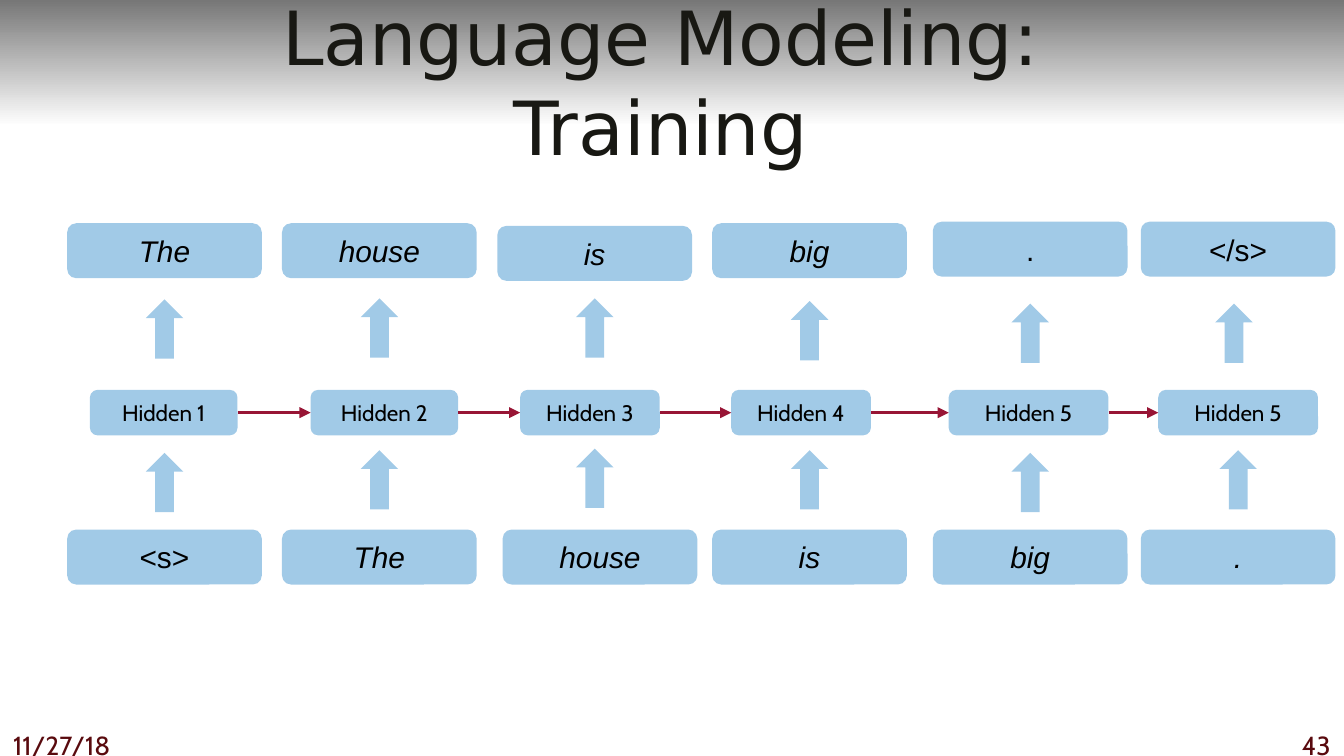
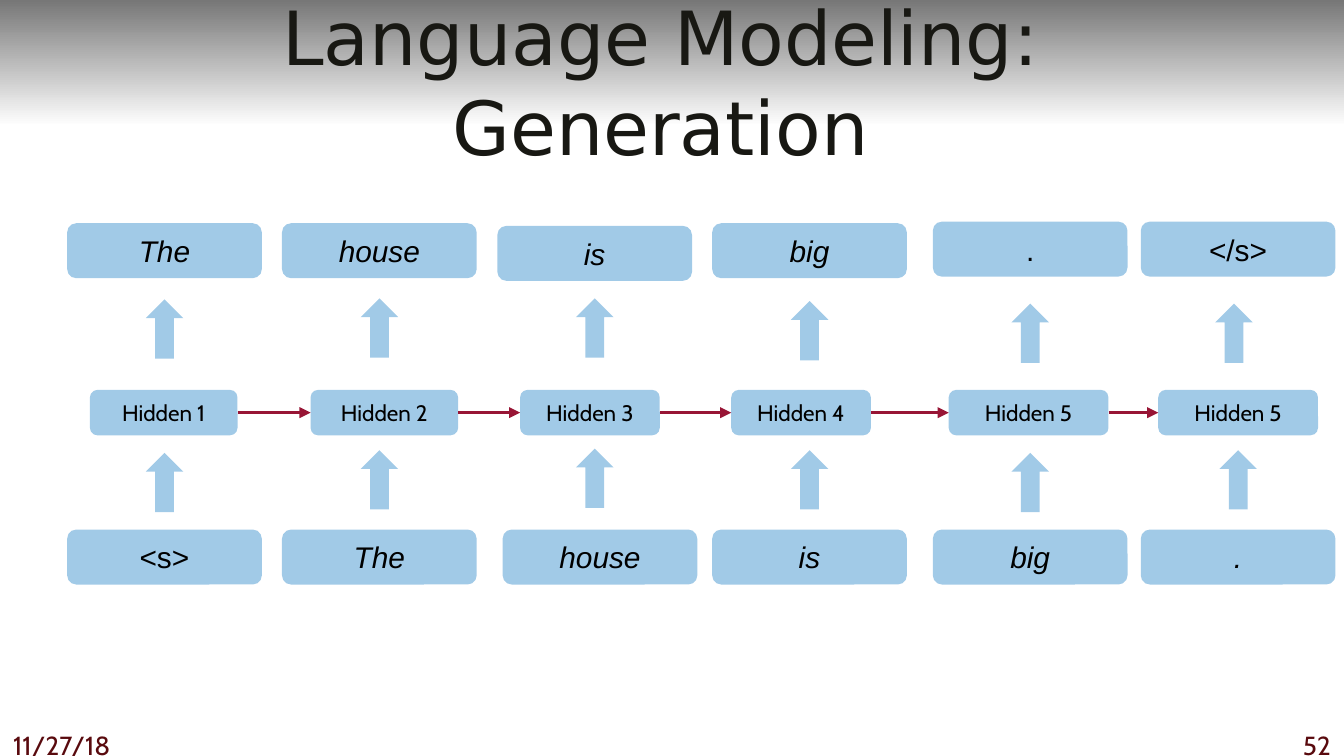
"""Build two slides on training and generation with a recurrent language model."""
from dataclasses import dataclass

from lxml.etree import SubElement
from pptx import Presentation
from pptx.dml.color import RGBColor
from pptx.enum.shapes import MSO_CONNECTOR as Link, MSO_SHAPE as Preset
from pptx.enum.text import MSO_ANCHOR as Anchor, PP_ALIGN as Align
from pptx.oxml.ns import qn
from pptx.shapes.autoshape import Shape
from pptx.slide import Slide
from pptx.util import Cm, Pt

PAGE_WIDTH, PAGE_HEIGHT = 25.4, 14.29
BAND_TOP, WHITE, TITLE_INK = "777777", "FFFFFF", "181813"
FOOTER_INK, BLACK, CELL_BLUE, LINK_RED = "590A0E", "000000", "0070C0", "981535"
CELL_OPACITY = 37
TOKEN_WIDTH, TOKEN_HEIGHT, INPUT_TOP = 3.68, 1.04, 10.01
HIDDEN_TOP, HIDDEN_HEIGHT = 7.37, 0.86
ARROW_WIDTH, ARROW_HEIGHT = 0.71, 1.12


@dataclass(frozen=True)
class Style:
    """Look of a text."""

    font: str
    size: float
    color: str
    align: Align = Align.CENTER
    anchor: Anchor = Anchor.MIDDLE
    italic: bool = False


@dataclass(frozen=True)
class Area:
    """Rectangle on the page in centimetres."""

    left: float
    top: float
    width: float
    height: float

    def lengths(self) -> tuple[Cm, Cm, Cm, Cm]:
        """Return the sides as lengths."""
        return Cm(self.left), Cm(self.top), Cm(self.width), Cm(self.height)


@dataclass(frozen=True)
class Token:
    """Word shown in an input or output box."""

    text: str
    italic: bool = True


@dataclass(frozen=True)
class Step:
    """One time step of the network, drawn as a column."""

    left: float
    output: Token
    output_top: float
    upper_arrow_top: float
    hidden: str
    hidden_left: float
    hidden_width: float
    lower_arrow_top: float
    source: Token
    source_shift: float = 0
    upper_arrow_shift: float = 0


@dataclass(frozen=True)
class Page:
    """What differs between the slides."""

    topic: str
    number: str


TITLE = Style("DejaVu Sans", 40, TITLE_INK)
DATE = Style("Cabin", 14, FOOTER_INK, Align.LEFT, Anchor.TOP)
NUMBER = Style("Cabin", 14, FOOTER_INK, Align.RIGHT, Anchor.TOP)
HIDDEN = Style("Cabin", 12, BLACK)

STEPS = (
    Step(1.27, Token("The"), 4.22, 5.66, "Hidden 1", 1.7, 2.79, 8.56, Token("<s>", False)),
    Step(5.33, Token("house"), 4.22, 5.64, "Hidden 2", 5.87, 2.79, 8.51, Token("The")),
    Step(9.4, Token("is"), 4.27, 5.64, "Hidden 3", 9.83, 2.64, 8.48, Token("house"),
         source_shift=0.1),
    Step(13.46, Token("big"), 4.22, 5.69, "Hidden 4", 13.82, 2.64, 8.51, Token("is")),
    Step(17.63, Token(".", False), 4.19, 5.74, "Hidden 5", 17.93, 3.02, 8.56, Token("big")),
    Step(21.56, Token("</s>", False), 4.19, 5.74, "Hidden 5", 21.89, 3.02, 8.51, Token("."),
         upper_arrow_shift=-0.08),
)
PAGES = (Page("Training", "43"), Page("Generation", "52"))


def rgb(color: str) -> RGBColor:
    """Turn a hex string into a colour."""
    return RGBColor.from_string(color)


def write(box: Shape, style: Style, *lines: str) -> None:
    """Fill a box with one paragraph of broken lines."""
    frame = box.text_frame
    frame.word_wrap = True
    frame.vertical_anchor = style.anchor
    para = frame.paragraphs[0]
    para.alignment = style.align
    for index, line in enumerate(lines):
        if index:
            para.add_line_break()
        span = para.add_run()
        span.text = line
        span.font.name = style.font
        span.font.size = Pt(style.size)
        span.font.italic = style.italic
        span.font.color.rgb = rgb(style.color)


def add_label(page: Slide, area: Area, style: Style, *lines: str) -> None:
    """Add a plain text box."""
    write(page.shapes.add_textbox(*area.lengths()), style, *lines)


def add_band(page: Slide) -> None:
    """Add the fading band behind the title."""
    band = page.shapes.add_shape(Preset.RECTANGLE, *Area(0, 0, PAGE_WIDTH, 2.39).lengths())
    band.shadow.inherit = False
    band.line.fill.background()
    band.fill.gradient()
    band.fill.gradient_angle = 270
    for stop, color in zip(band.fill.gradient_stops, (BAND_TOP, WHITE)):
        stop.color.rgb = rgb(color)


def add_cell(page: Slide, preset: Preset, area: Area) -> Shape:
    """Add a translucent blue shape without outline."""
    cell = page.shapes.add_shape(preset, *area.lengths())
    cell.shadow.inherit = False
    cell.line.fill.background()
    cell.fill.solid()
    cell.fill.fore_color.rgb = rgb(CELL_BLUE)
    tint = next(cell.element.spPr.iter(qn("a:srgbClr")))
    SubElement(tint, qn("a:alpha"), val=str(CELL_OPACITY * 1000))
    return cell


def add_token(page: Slide, token: Token, left: float, top: float) -> None:
    """Add a rounded box holding a word."""
    area = Area(left, top, TOKEN_WIDTH, TOKEN_HEIGHT)
    box = add_cell(page, Preset.ROUNDED_RECTANGLE, area)
    write(box, Style("Arial", 16, BLACK, italic=token.italic), token.text)


def add_up_arrow(page: Slide, left: float, top: float) -> None:
    """Add a block arrow that points up."""
    arrow = add_cell(page, Preset.DOWN_ARROW, Area(left, top, ARROW_WIDTH, ARROW_HEIGHT))
    arrow.rotation = 180


def add_step(page: Slide, step: Step) -> Shape:
    """Draw one column and return its hidden state."""
    arrow_left = step.left + (TOKEN_WIDTH - ARROW_WIDTH) / 2
    add_token(page, step.source, step.left + step.source_shift, INPUT_TOP)
    add_token(page, step.output, step.left, step.output_top)
    add_up_arrow(page, arrow_left, step.lower_arrow_top)
    add_up_arrow(page, arrow_left + step.upper_arrow_shift, step.upper_arrow_top)
    area = Area(step.hidden_left, HIDDEN_TOP, step.hidden_width, HIDDEN_HEIGHT)
    hidden = add_cell(page, Preset.ROUNDED_RECTANGLE, area)
    write(hidden, HIDDEN, step.hidden)
    return hidden


def add_link(page: Slide, start: Shape, end: Shape) -> None:
    """Join the right side of one state to the left side of the next."""
    link = page.shapes.add_connector(Link.STRAIGHT, 0, 0, 0, 0)
    link.begin_connect(start, 3)
    link.end_connect(end, 1)
    link.line.color.rgb = rgb(LINK_RED)
    link.line.width = Pt(1.75)
    SubElement(link.line._get_or_add_ln(), qn("a:tailEnd"), type="triangle")
    SubElement(link._element.spPr, qn("a:effectLst"))


def add_page(deck: Presentation, content: Page) -> None:
    """Add a slide with band, title, footers and network."""
    page = deck.slides.add_slide(deck.slide_layouts[6])
    add_band(page)
    add_label(page, Area(0.1, 0.41, 24.77, 2.24), TITLE, "Language Modeling:", content.topic)
    add_label(page, Area(0, 13.67, 3.38, 0.64), DATE, "11/27/18")
    add_label(page, Area(24.13, 13.67, 1.27, 0.64), NUMBER, content.number)
    states = [add_step(page, step) for step in STEPS]
    for start, end in zip(states, states[1:]):
        add_link(page, start, end)


def main() -> None:
    """Build and save the deck."""
    deck = Presentation()
    deck.slide_width, deck.slide_height = Cm(PAGE_WIDTH), Cm(PAGE_HEIGHT)
    for content in PAGES:
        add_page(deck, content)
    deck.save("out.pptx")


if __name__ == "__main__":
    main()
